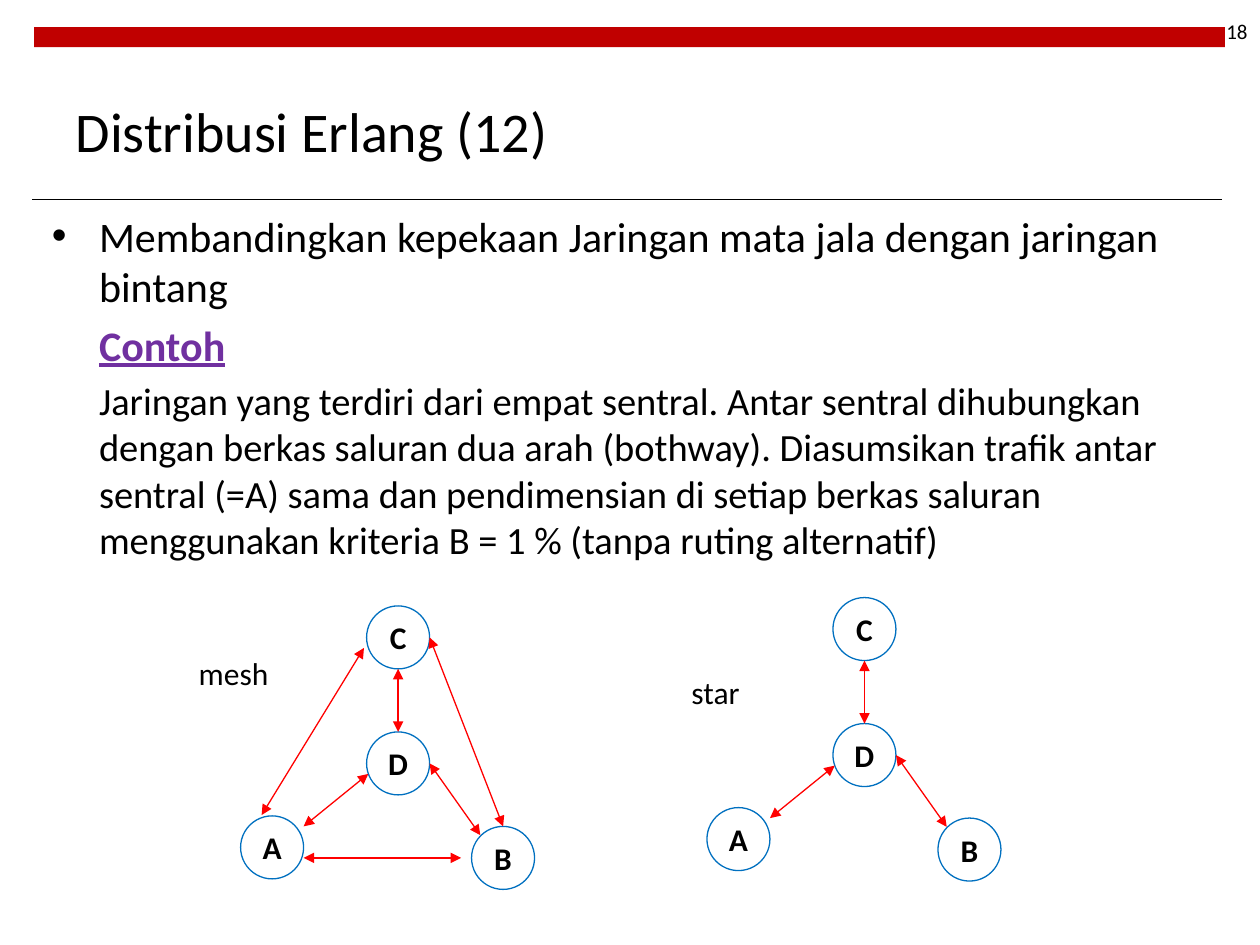
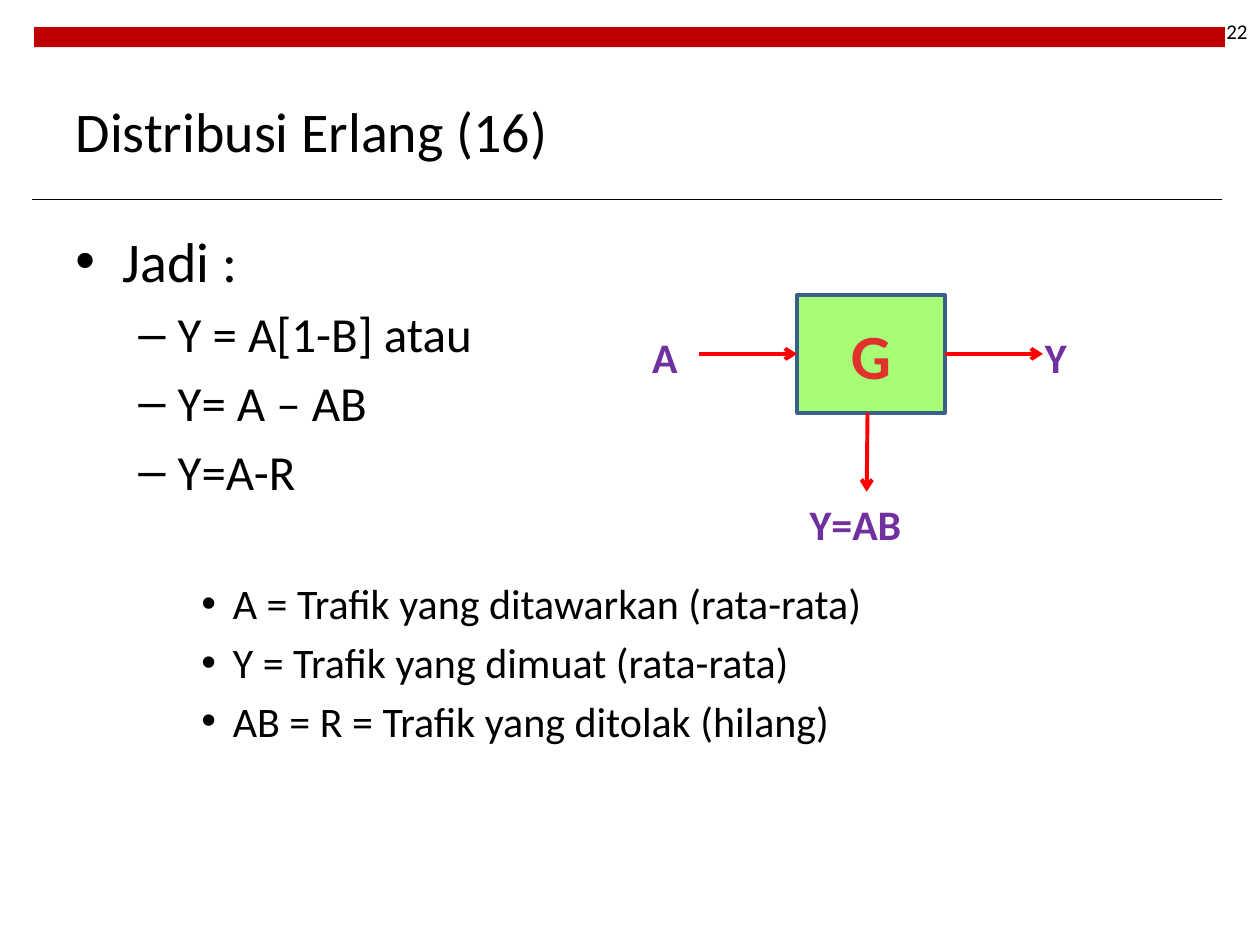
from lxml import etree
from pptx import Presentation
from pptx.dml.color import RGBColor
from pptx.enum.shapes import MSO_CONNECTOR, MSO_SHAPE
from pptx.enum.text import MSO_ANCHOR, PP_ALIGN
from pptx.oxml.ns import qn
from pptx.util import Pt

LINE = MSO_CONNECTOR.STRAIGHT
RECT, OVAL = MSO_SHAPE.RECTANGLE, MSO_SHAPE.OVAL
MID = MSO_ANCHOR.MIDDLE
LEFT, MIDST, RIGHT = PP_ALIGN.LEFT, PP_ALIGN.CENTER, PP_ALIGN.RIGHT
FONT = "Calibri"
BLACK, BAND, RED = "000000", "C00000", "FF0000"
BLUE, PURPLE = "0070C0", "7030A0"
GREEN, EDGE, MARK = "A7FE76", "3A5F8C", "E0322D"

NODE = 36
NODES = {"D": (72, 72), "A": (0, 120), "B": (132, 126), "C": (72, 0)}
STAR = [(36, 126, 73, 96), (90, 72, 90, 36), (108, 90, 137, 131)]
MESH = STAR + [(12, 119.5, 70.5, 24), (36, 144, 126, 144), (108, 18, 150, 126)]


def color(code):
    """Turn a hex string into a colour."""
    return RGBColor.from_string(code)


def style(para, size, code=BLACK, bold=False, align=LEFT):
    """Format a whole paragraph."""
    para.alignment = align
    font = para.font
    font.name, font.size, font.bold = FONT, Pt(size), bold
    font.color.rgb = color(code)


def label(slide, box, text, size, code=BLACK, bold=False, align=LEFT):
    """Add a one-line text box."""
    frame = slide.shapes.add_textbox(*map(Pt, box)).text_frame
    frame.word_wrap = True
    frame.text = text
    style(frame.paragraphs[0], size, code, bold, align)
    return frame


def shape(slide, kind, box, fill=None, edge=None, width=0.75):
    """Add a flat preset shape."""
    form = slide.shapes.add_shape(kind, *map(Pt, box))
    form.shadow.inherit = False
    if fill:
        form.fill.solid()
        form.fill.fore_color.rgb = color(fill)
    else:
        form.fill.background()
    if edge:
        form.line.color.rgb = color(edge)
        form.line.width = Pt(width)
    else:
        form.line.fill.background()
    return form


def caption(form, text, size, code=BLACK):
    """Write bold centred text in a shape."""
    frame = form.text_frame
    frame.word_wrap = False
    frame.vertical_anchor = MID
    frame.text = text
    style(frame.paragraphs[0], size, code, True, MIDST)


def link(slide, ends, code=RED, width=0.75, head=None, tail=None):
    """Draw a straight line with optional arrowheads."""
    wire = slide.shapes.add_connector(LINE, *map(Pt, ends))
    wire.line.color.rgb = color(code)
    wire.line.width = Pt(width)
    stroke = wire.line._get_or_add_ln()
    for tag, kind in (("a:headEnd", head), ("a:tailEnd", tail)):
        if kind:
            etree.SubElement(stroke, qn(tag), type=kind)
    etree.SubElement(wire._element.spPr, qn("a:effectLst"))


def bullet(para, left, hang, mark):
    """Set the indent and bullet of a paragraph."""
    props = para._p.get_or_add_pPr()
    props.set("marL", str(Pt(left)))
    if mark:
        props.set("indent", str(Pt(-hang)))
        etree.SubElement(props, qn("a:buFont"), typeface="Arial")
        etree.SubElement(props, qn("a:buChar"), char=mark)
    else:
        props.set("indent", "0")
        etree.SubElement(props, qn("a:buNone"))


def body(slide, box, rows):
    """Fill a text box with rows of (text, size, indent, hang, mark)."""
    frame = slide.shapes.add_textbox(*map(Pt, box)).text_frame
    frame.word_wrap = True
    for num, (text, size, left, hang, mark) in enumerate(rows):
        para = frame.add_paragraph() if num else frame.paragraphs[0]
        para.text = text
        bullet(para, left, hang, mark)
        para.space_before = Pt(size * 0.2 if num else 0)
        style(para, size)
    return frame.paragraphs


def start(deck, title, page):
    """Add a slide with band, rule, page number and title."""
    slide = deck.slides.add_slide(deck.slide_layouts[5])
    shape(slide, RECT, (19.5, 15.5, 680.5, 11.5), BAND)
    link(slide, (18.5, 114.25, 698.5, 114.25), BLACK, 0.6)
    label(slide, (678, 0, 42, 36), page, 12, align=RIGHT).vertical_anchor = MID
    head = slide.shapes.title
    head.left, head.top, head.width, head.height = map(Pt, (36, 37.5, 479.5, 74))
    head.text_frame.text = title
    head.text_frame.vertical_anchor = MID
    style(head.text_frame.paragraphs[0], 32)
    return slide


def net(slide, left, top, links, name, spot):
    """Draw a network of four nodes with its name."""
    for text, (x, y) in NODES.items():
        caption(shape(slide, OVAL, (left + x, top + y, NODE, NODE), edge=BLUE), text, 18)
    for x1, y1, x2, y2 in links:
        ends = (left + x1, top + y1, left + x2, top + y2)
        link(slide, ends, head="triangle", tail="triangle")
    label(slide, (left + spot[0], top + spot[1], 61, 31), name, 18)


def flow(slide, left, top):
    """Draw the group G with its offered, carried and lost traffic."""
    wide, high, reach = 84.5, 67.5, 56
    mid, core = top + high / 2, left + wide / 2 - 2
    caption(shape(slide, RECT, (left, top, wide, high), GREEN, EDGE, 2), "G", 36, MARK)
    for ends in (
        (left - reach, mid, left, mid),
        (left + wide, mid, left + wide + reach, mid),
        (core, top + high, core - 0.5, top + high + 45),
    ):
        link(slide, ends, width=2.25, tail="arrow")
    for text, x, y, span in (("A", -90, 17.5, 34), ("Y", 134.5, 17.5, 34), ("Y=AB", 0, 113, 90)):
        label(slide, (left + x, top + y, span, 37), text, 24, PURPLE, True)


def compare(deck):
    """Build the slide on mesh and star networks."""
    slide = start(deck, "Distribusi Erlang (12)", "18")
    paras = body(slide, (22.5, 116.5, 680.5, 376), [
        ("Membandingkan kepekaan Jaringan mata jala dengan jaringan bintang", 24, 27, 27, "•"),
        ("Contoh", 24, 27, 0, None),
        ("Jaringan yang terdiri dari empat sentral. Antar sentral dihubungkan "
         "dengan berkas saluran dua arah (bothway). Diasumsikan trafik antar "
         "sentral (=A) sama dan pendimensian di setiap berkas saluran "
         "menggunakan kriteria B = 1 % (tanpa ruting alternatif)", 22, 27, 0, None),
    ])
    style(paras[1], 24, PURPLE, True)
    paras[1].font.underline = True
    net(slide, 137.5, 346.25, MESH, "mesh", (-31, 24))
    net(slide, 404, 341.5, STAR, "star", (-16, 39.5))


def result(deck):
    """Build the slide on carried and lost traffic."""
    slide = start(deck, "Distribusi Erlang (16)", "22")
    rows = [("Jadi :", 32, 27, 27, "•")]
    rows += [(text, 28, 58.5, 22.5, "–")
             for text in ("Y = A[1-B] atau", "Y= A – AB", "Y=A-R")]
    rows += [(text, 24, 90, 18, "•") for text in (
        "A = Trafik yang ditawarkan (rata-rata)",
        "Y = Trafik yang dimuat (rata-rata)",
        "AB = R = Trafik yang ditolak (hilang)")]
    body(slide, (36, 126, 648, 371), rows)[4].space_before = Pt(44.5)
    flow(slide, 455.5, 168.5)


def main():
    """Build and save the deck."""
    deck = Presentation()
    deck.slide_width, deck.slide_height = Pt(720), Pt(540)
    compare(deck)
    result(deck)
    deck.save("out.pptx")


if __name__ == "__main__":
    main()
